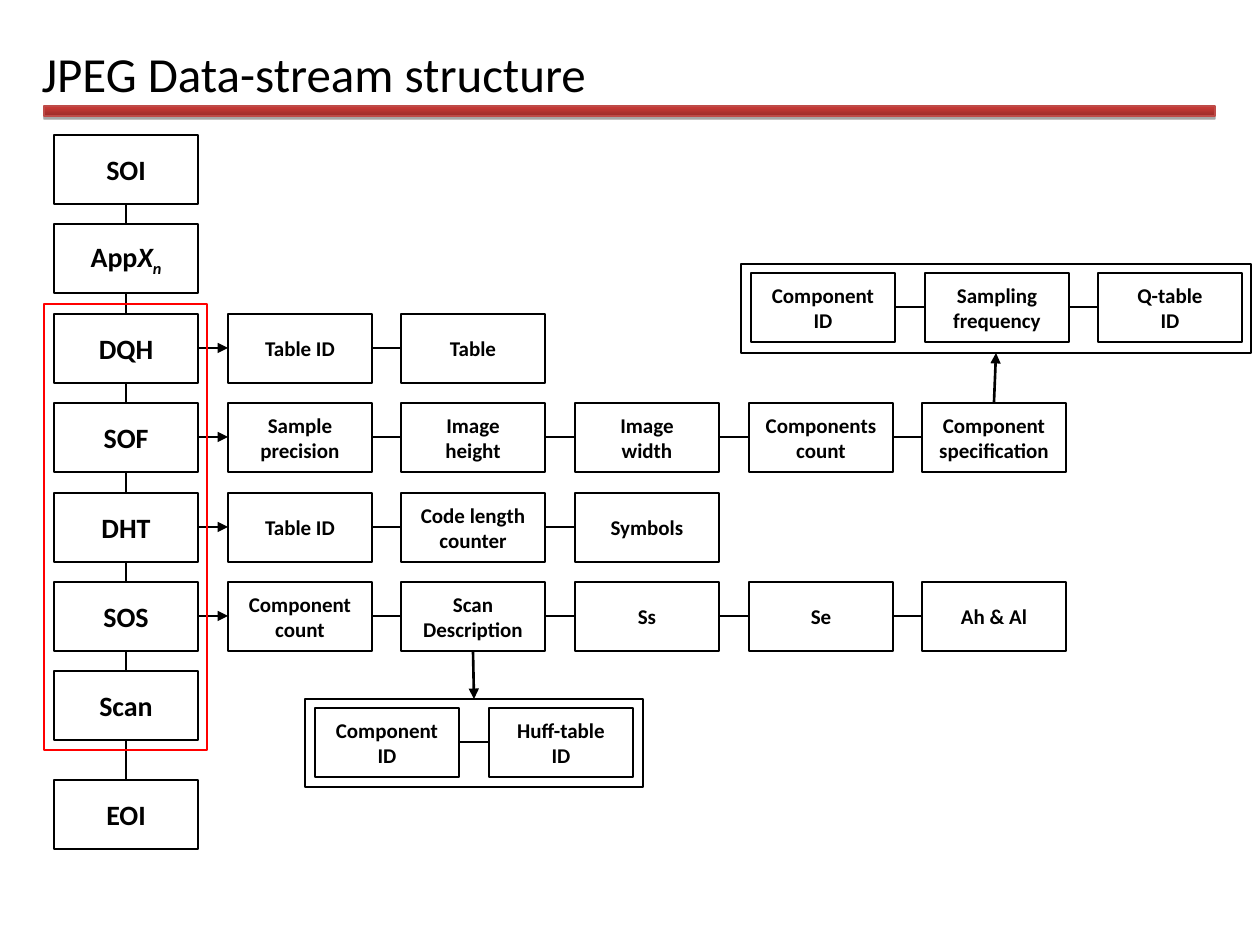
"""Build the JPEG data-stream structure slide."""
from dataclasses import dataclass
from itertools import pairwise

from lxml import etree
from pptx import Presentation
from pptx import util as u
from pptx.dml.color import RGBColor
from pptx.enum import shapes, text
from pptx.oxml import ns

PX = 914400 / 126
FONT = "Calibri"
BLACK, RED = "000000", "FF0000"
BOX_WIDTH, BOX_HEIGHT = 144, 69
LEFT, TOP = 54, 135
COLUMN_STEP, ROW_STEP = 173.7, 89.4
EOI_TOP = 780


@dataclass(frozen=True)
class Box:
    """A rectangle in px, with its label."""
    left: int
    top: int
    width: int = BOX_WIDTH
    height: int = BOX_HEIGHT
    label: str = ""

    @property
    def right(self) -> int:
        return self.left + self.width

    @property
    def bottom(self) -> int:
        return self.top + self.height

    @property
    def center(self) -> int:
        return self.left + self.width // 2

    @property
    def middle(self) -> int:
        return self.top + self.height // 2


@dataclass(frozen=True)
class Link:
    """A straight line between two points in px."""
    start: tuple[int, int]
    end: tuple[int, int]
    arrow: bool = False


MARKERS = ["SOI", "", "DQH", "SOF", "DHT", "SOS", "Scan", "EOI"]
FIELDS = {
    2: ["Table ID", "Table"],
    3: ["Sample\nprecision", "Image\nheight", "Image\nwidth", "Components\ncount",
        "Component\nspecification"],
    4: ["Table ID", "Code length counter", "Symbols"],
    5: ["Component\ncount", "Scan\nDescription", "Ss", "Se", "Ah & Al"],
}
SCAN_PARTS = ["Component\nID", "Huff-table\nID"]
COMPONENT_PARTS = ["Component\nID", "Sampling\nfrequency", "Q-table\nID"]
SCAN_FRAME = Box(305, 699, 338, 88)
COMPONENT_FRAME = Box(741, 264, 510, 89)
TABLES_FRAME = Box(44, 304, 163, 446)
TITLE = Box(29, 38, 1201, 70, "JPEG Data-stream structure")
TITLE_BAR = Box(44, 106, 1171, 10)


def px(length: float) -> int:
    """Turn px into EMU."""
    return round(length * PX)


def color(value: str) -> RGBColor:
    """Turn a hex string into a colour."""
    return RGBColor.from_string(value)


def write(paragraph, content: str, *, size: int, bold: bool = False,
          italic: bool = False, baseline: int = 0) -> None:
    """Add one formatted run to a paragraph."""
    run = paragraph.add_run()
    run.text = content
    run.font.name, run.font.size = FONT, u.Pt(size)
    run.font.bold, run.font.italic = bold, italic
    run.font.color.rgb = color(BLACK)
    if baseline:
        run.font._element.set("baseline", str(baseline * 1000))


def draw_rectangle(slide, box: Box, line: str = BLACK, weight: float = 0.75):
    """Draw an unfilled rectangle."""
    shape = slide.shapes.add_shape(shapes.MSO_SHAPE.RECTANGLE, px(box.left), px(box.top),
                                   px(box.width), px(box.height))
    shape.shadow.inherit = False
    shape.fill.background()
    shape.line.color.rgb = color(line)
    shape.line.width = u.Pt(weight)
    return shape


def draw_box(slide, box: Box, size: int = 12, space_before: int = 0):
    """Draw a rectangle with its centred bold label and return its last paragraph."""
    frame = draw_rectangle(slide, box).text_frame
    frame.word_wrap = True
    frame.vertical_anchor = text.MSO_ANCHOR.MIDDLE
    for index, line in enumerate(box.label.split("\n")):
        paragraph = frame.add_paragraph() if index else frame.paragraphs[0]
        paragraph.alignment = text.PP_ALIGN.CENTER
        paragraph.space_before = u.Pt(space_before)
        if line:
            write(paragraph, line, size=size, bold=True)
    return paragraph


def draw_link(slide, link: Link) -> None:
    """Draw a line, with an arrowhead at its end if asked."""
    connector = slide.shapes.add_connector(shapes.MSO_CONNECTOR.STRAIGHT,
                                           *map(px, link.start + link.end))
    connector.line.color.rgb = color(BLACK)
    connector.line.width = u.Pt(1.5)
    if link.arrow:
        etree.SubElement(connector.line._get_or_add_ln(), ns.qn("a:tailEnd"), type="triangle")
    etree.SubElement(connector._element.spPr, ns.qn("a:effectLst"))


def draw_row(slide, boxes: list[Box]) -> None:
    """Draw boxes side by side, joined by lines."""
    for box in boxes:
        draw_box(slide, box)
    for before, after in pairwise(boxes):
        draw_link(slide, Link((after.left, after.middle), (before.right, before.middle)))


def row_of(labels: list[str], left: float, top: int) -> list[Box]:
    """Lay out labels in evenly spaced columns."""
    return [Box(round(left + COLUMN_STEP * index), top, label=label)
            for index, label in enumerate(labels)]


def draw_title(slide) -> None:
    """Place the title and the red bar below it."""
    title = slide.shapes.title
    title.left, title.top = px(TITLE.left), px(TITLE.top)
    title.width, title.height = px(TITLE.width), px(TITLE.height)
    title.text_frame.vertical_anchor = text.MSO_ANCHOR.MIDDLE
    title.text_frame.auto_size = text.MSO_AUTO_SIZE.NONE
    paragraph = title.text_frame.paragraphs[0]
    paragraph.alignment = text.PP_ALIGN.LEFT
    write(paragraph, TITLE.label, size=28)

    bar = draw_rectangle(slide, TITLE_BAR, "BE4B48")
    bar.fill.gradient()
    bar.fill.gradient_angle = 90
    for stop, position, value in zip(bar.fill.gradient_stops, (0, 1), ("9B2D2A", "CE3B37")):
        stop.position = position
        stop.color.rgb = color(value)
    effects = bar._element.spPr.find(ns.qn("a:effectLst"))
    shadow = etree.SubElement(effects, ns.qn("a:outerShdw"), dist=str(u.Pt(1.8)),
                              dir="5400000", rotWithShape="0")
    shade = etree.SubElement(shadow, ns.qn("a:srgbClr"), val=BLACK)
    etree.SubElement(shade, ns.qn("a:alpha"), val="35000")


def main() -> None:
    """Draw the slide and save it."""
    presentation = Presentation()
    presentation.slide_width, presentation.slide_height = u.Inches(10), u.Inches(7.5)
    slide = presentation.slides.add_slide(presentation.slide_layouts[5])
    draw_title(slide)

    tops = [round(TOP + ROW_STEP * index) for index in range(len(MARKERS) - 1)] + [EOI_TOP]
    markers = [Box(LEFT, top, label=label) for top, label in zip(tops, MARKERS)]
    for marker in markers:
        paragraph = draw_box(slide, marker, size=16, space_before=10)
        if not marker.label:
            write(paragraph, "App", size=16, bold=True)
            write(paragraph, "X", size=16, bold=True, italic=True)
            write(paragraph, "n", size=16, bold=True, italic=True, baseline=-25)
    for upper, lower in pairwise(markers):
        draw_link(slide, Link((upper.center, upper.bottom), (lower.center, lower.top)))

    rows = {index: row_of(labels, LEFT + COLUMN_STEP, tops[index])
            for index, labels in FIELDS.items()}
    for index, row in rows.items():
        draw_row(slide, row)
        marker = markers[index]
        draw_link(slide, Link((marker.right, marker.middle), (row[0].left, marker.middle), True))

    for frame, labels in ((SCAN_FRAME, SCAN_PARTS), (COMPONENT_FRAME, COMPONENT_PARTS)):
        draw_rectangle(slide, frame)
        draw_row(slide, row_of(labels, frame.left + 10, frame.top + 9))
    specification, description = rows[3][4], rows[5][1]
    draw_link(slide, Link((specification.center, specification.top),
                          (COMPONENT_FRAME.center, COMPONENT_FRAME.bottom), True))
    draw_link(slide, Link((description.center, description.bottom),
                          (SCAN_FRAME.center, SCAN_FRAME.top), True))
    draw_rectangle(slide, TABLES_FRAME, RED, 1.5)
    presentation.save("out.pptx")


if __name__ == "__main__":
    main()
